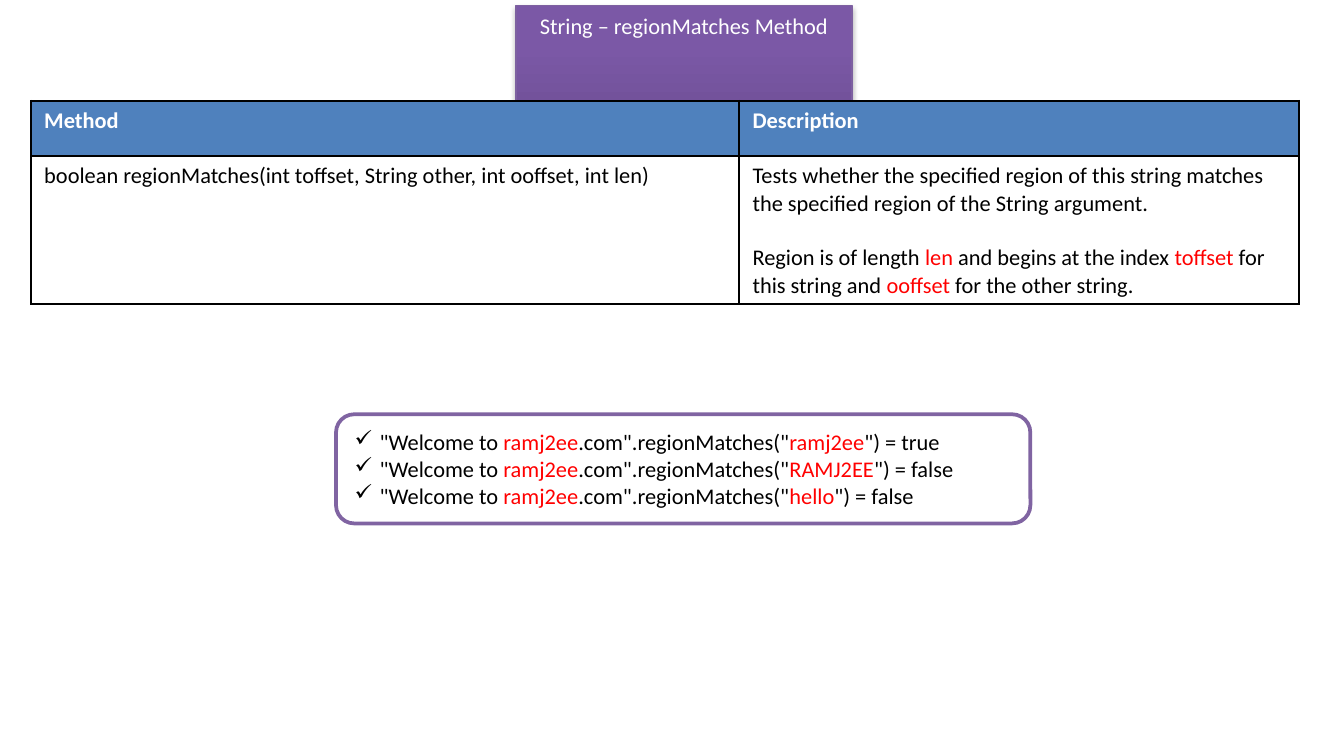
from lxml import etree
from pptx import Presentation
from pptx import util as u
from pptx.dml.color import RGBColor
from pptx.enum import shapes, text
from pptx.oxml import parse_xml
from pptx.oxml.ns import nsdecls, qn

BLACK = RGBColor(0x00, 0x00, 0x00)
WHITE = RGBColor(0xFF, 0xFF, 0xFF)
RED = RGBColor(0xFF, 0x00, 0x00)
BLUE = RGBColor(0x4F, 0x81, 0xBD)
VIOLET = RGBColor(0x80, 0x64, 0xA2)
EDGE = RGBColor(0x7D, 0x60, 0xA0)
DARK = RGBColor(0x5F, 0x44, 0x80)
LIGHT = RGBColor(0x7B, 0x58, 0xA6)


class Page:
    font = "Calibri"
    size = u.Pt(12)
    line = u.Pt(14.65)

    def __init__(self, slide):
        self.slide = slide

    def label(self, para, words, color=BLACK, bold=False):
        """Fill a paragraph; parts between bars are red."""
        for i, part in enumerate(words.split("|")):
            run = para.add_run()
            run.text = part
            run.font.name, run.font.size, run.font.bold = self.font, self.size, bold
            run.font.color.rgb = RED if i % 2 else color

    def title(self, words, *area):
        box = self.slide.shapes.title
        box.left, box.top, box.width, box.height = map(u.Pt, area)
        box.fill.gradient()
        box.fill.gradient_angle = 90
        for stop, spot, color in zip(box.fill.gradient_stops, (0, 0.8), (DARK, LIGHT)):
            stop.position, stop.color.rgb = spot, color
        box.line.color.rgb, box.line.width = EDGE, u.Pt(0.75)
        box._element.spPr.append(parse_xml(
            f'<a:effectLst {nsdecls("a")}><a:outerShdw blurRad="{u.Pt(3.1)}" '
            f'dist="{u.Pt(1.8)}" dir="5400000" rotWithShape="0"><a:srgbClr val="{BLACK}">'
            '<a:alpha val="35000"/></a:srgbClr></a:outerShdw></a:effectLst>'))
        frame = box.text_frame
        frame.auto_size = text.MSO_AUTO_SIZE.SHAPE_TO_FIT_TEXT
        frame.vertical_anchor = text.MSO_ANCHOR.TOP
        para = frame.paragraphs[0]
        para.alignment = text.PP_ALIGN.CENTER
        self.label(para, words, WHITE)

    def cell(self, cell, paras, fill, color, bold):
        props = cell._tc.get_or_add_tcPr()
        for side in "LRTB":
            props.append(parse_xml(
                f'<a:ln{side} {nsdecls("a")} w="{u.Pt(1)}"><a:solidFill>'
                f'<a:srgbClr val="{BLACK}"/></a:solidFill></a:ln{side}>'))
        cell.fill.solid()
        cell.fill.fore_color.rgb = fill
        frame = cell.text_frame
        for i, words in enumerate(paras):
            para = frame.add_paragraph() if i else frame.paragraphs[0]
            if i:
                para.space_before = self.line
            self.label(para, words, color, bold)

    def table(self, rows, left, top, widths, heights):
        area = map(u.Pt, (left, top, sum(widths), sum(heights)))
        table = self.slide.shapes.add_table(len(rows), len(widths), *area).table
        for col, width in zip(table.columns, widths):
            col.width = u.Pt(width)
        for r, row in enumerate(rows):
            table.rows[r].height = u.Pt(heights[r])
            look = (WHITE, BLACK, False) if r else (BLUE, WHITE, True)
            for c, paras in enumerate(row):
                self.cell(table.cell(r, c), paras, *look)

    def checks(self, items, *area):
        box = self.slide.shapes.add_shape(
            shapes.MSO_SHAPE.ROUNDED_RECTANGLE, *map(u.Pt, area))
        box.shadow.inherit = False
        box.fill.solid()
        box.fill.fore_color.rgb = WHITE
        box.line.color.rgb, box.line.width = VIOLET, u.Pt(2)
        frame = box.text_frame
        frame.word_wrap = True
        frame.vertical_anchor = text.MSO_ANCHOR.MIDDLE
        for i, words in enumerate(items):
            para = frame.add_paragraph() if i else frame.paragraphs[0]
            para.alignment = text.PP_ALIGN.LEFT
            props = para._p.get_or_add_pPr()
            props.set("marL", str(u.Pt(13.5)))
            props.set("indent", str(u.Pt(-13.5)))
            etree.SubElement(props, qn("a:buChar")).set("char", "✓")
            self.label(para, words)


def main():
    deck = Presentation()
    deck.slide_width, deck.slide_height = u.Pt(720), u.Pt(396)
    page = Page(deck.slides.add_slide(deck.slide_layouts[5]))

    # Examples
    calls = (("ramj2ee", "true"), ("RAMJ2EE", "false"), ("hello", "false"))
    page.checks(
        [f'"Welcome to |ramj2ee|.com".regionMatches("|{word}|") = {result}'
         for word, result in calls],
        180, 222, 372, 58.5)

    # Title
    page.title("String – regionMatches Method", 276.5, 3, 180, 22)

    # Method table
    page.table([
        (["Method"], ["Description"]),
        (["boolean regionMatches(int toffset, String other, int ooffset, int len)"],
         ["Tests whether the specified region of this string matches "
          "the specified region of the String argument.",
          "Region is of length |len| and begins at the index |toffset| "
          "for this string and |ooffset| for the other string."]),
    ], 16.5, 54, (379.5, 300), (29.5, 79.5))

    deck.save("out.pptx")


if __name__ == "__main__":
    main()
